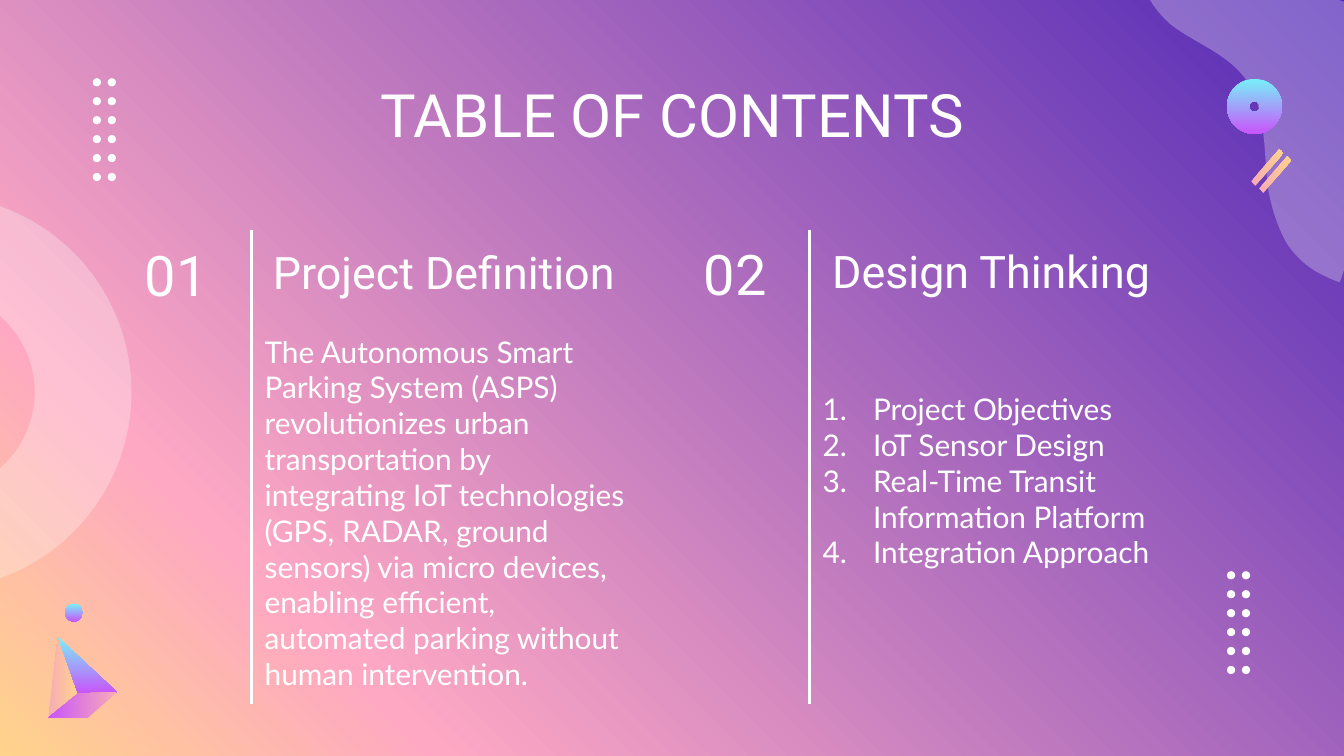
from dataclasses import dataclass
from itertools import product

from lxml.etree import SubElement
from pptx import Presentation
from pptx.dml.color import RGBColor
from pptx.enum.shapes import MSO_CONNECTOR as Connector, MSO_SHAPE as Preset
from pptx.enum.text import MSO_ANCHOR as Anchor, MSO_AUTO_SIZE as AutoSize, PP_ALIGN as Align
from pptx.oxml.ns import qn
from pptx.util import Pt

COLORS = {
    "white": "FFFFFF", "violet": "5229B7", "rose": "FEA8C3", "amber": "FFD38B",
    "cyan": "78F0F9", "magenta": "C954FA", "salmon": "F7ABB7",
}
NEON = ((0, "cyan"), (100, "magenta"))
PEACH = ((0, "salmon"), (100, "amber"))
ORCHID = ((0, "salmon"), (100, "magenta"))
BACKDROP = ((0, "violet"), (79, "rose"), (100, "amber"))
VEIL = 28
COMPARISON_LAYOUT = 4


@dataclass(frozen=True)
class Area:
    left: float
    top: float
    width: float
    height: float

    def lengths(self) -> tuple:
        return Pt(self.left), Pt(self.top), Pt(self.width), Pt(self.height)


@dataclass(frozen=True)
class Style:
    font: str
    size: int
    align: Align = Align.LEFT
    numbered: bool = False


@dataclass(frozen=True)
class Section:
    number: str
    number_area: Area
    heading: str
    heading_area: Area
    lines: tuple
    body_area: Area
    body_style: Style
    rule_x: float


@dataclass(frozen=True)
class Facet:
    points: tuple
    stops: tuple
    angle: int


TITLE = Style("Roboto", 32, Align.CENTER)
NUMBER = Style("Roboto", 30)
HEADING = Style("Roboto", 24)
BODY = Style("Lato", 16)
LIST = Style("Lato", 16, numbered=True)

SECTIONS = (
    Section(
        "01", Area(70.6, 126, 64, 41.8),
        "Project Definition", Area(139, 124, 204.5, 43.2),
        ("The Autonomous Smart Parking System (ASPS) revolutionizes urban "
         "transportation by integrating IoT technologies (GPS, RADAR, ground "
         "sensors) via micro devices, enabling efficient, automated parking "
         "without human intervention.",),
        Area(134.6, 255.4, 208.2, 38.2), BODY, 134.6),
    Section(
        "02", Area(370, 125.2, 64, 41.8),
        "Design Thinking", Area(438.6, 123.2, 211, 43.2),
        ("Project Objectives", "IoT Sensor Design",
         "Real-Time Transit Information Platform", "Integration Approach"),
        Area(433.5, 238.2, 216, 38.2), LIST, 433.5),
)

BLOB_START = (609.1, -37.4)
BLOB_CURVES = (
    ((605.5, -19.4), (612.7, 0.7), (627.1, 13)),
    ((640.8, 23.8), (658.8, 28.8), (668.9, 44.6)),
    ((679, 61.9), (676.8, 83.5), (679.7, 103)),
    ((681.8, 113), (684.7, 122.4), (689.8, 131)),
    ((694.8, 138.2), (701.3, 144), (709.2, 147.6)),
    ((712.1, 149), (715, 150.5), (717.8, 151.2)),
)
BLOB_CORNER = (765.4, 16.6)

APEX, FOLD, TIP, TAIL = (31, 341.3), (41.8, 371.5), (62.6, 370.8), (25.9, 384.5)
STRIPE = ((670.3, 97.2), (685.4, 79.9), (687.6, 82.1), (672.5, 99.4))
FACETS = (
    Facet((TAIL, FOLD, APEX), PEACH, 0),
    Facet((APEX, FOLD, TIP), NEON, 90),
    Facet((TIP, FOLD, TAIL, (46.8, 384.5)), ORCHID, 180),
    Facet(STRIPE, PEACH, 0),
    Facet(tuple((x + 4.3, y + 3.8) for x, y in STRIPE), PEACH, 0),
)


def rgb(name: str) -> RGBColor:
    return RGBColor.from_string(COLORS[name])


def paint_gradient(fill, host, stops: tuple, angle: int) -> None:
    fill.gradient()
    fill.gradient_angle = 360 - angle
    stop_list = host.find(".//" + qn("a:gsLst"))
    for stop in list(stop_list):
        stop_list.remove(stop)
    for position, name in stops:
        stop = SubElement(stop_list, qn("a:gs"), pos=str(position * 1000))
        SubElement(stop, qn("a:srgbClr"), val=COLORS[name])


def finish(shape, stops: tuple = (), angle: int = 0, opacity: int = 100) -> None:
    shape.shadow.inherit = False
    shape.line.fill.background()
    if stops:
        paint_gradient(shape.fill, shape._element.spPr, stops, angle)
        return
    shape.fill.solid()
    shape.fill.fore_color.rgb = rgb("white")
    if opacity < 100:
        color = shape._element.spPr.find(".//" + qn("a:srgbClr"))
        SubElement(color, qn("a:alpha"), val=str(opacity * 1000))


def add_polygon(shapes, points: tuple):
    corners = [(Pt(x), Pt(y)) for x, y in points]
    builder = shapes.build_freeform(*corners[0], scale=1.0)
    builder.add_line_segments(corners[1:], close=True)
    return builder.convert_to_shape()


def trace_curves(start: tuple, curves: tuple, steps: int = 12) -> list:
    points = [start]
    for first, second, end in curves:
        origin = points[-1]
        for step in range(1, steps + 1):
            t = step / steps
            u = 1 - t
            points.append(tuple(
                u**3 * a + 3 * u * u * t * b + 3 * u * t * t * c + t**3 * d
                for a, b, c, d in zip(origin, first, second, end)))
    return points


def add_ring(shapes, area: Area, thickness: float):
    ring = shapes.add_shape(Preset.DONUT, *area.lengths())
    ring.adjustments[0] = thickness
    return ring


def add_dots(shapes, left: float, top: float) -> None:
    group = shapes.add_group_shape()
    for column, row in product(range(2), range(6)):
        area = Area(left + 8 * column, top + 10.15 * row, 4.4, 4.4)
        finish(group.shapes.add_shape(Preset.OVAL, *area.lengths()))


def write_text(box, area: Area, lines: tuple, style: Style) -> None:
    box.left, box.top, box.width, box.height = area.lengths()
    frame = box.text_frame
    frame.word_wrap = True
    frame.auto_size = AutoSize.NONE
    frame.vertical_anchor = Anchor.MIDDLE
    frame.margin_left = frame.margin_right = Pt(7.2)
    frame.margin_top = frame.margin_bottom = Pt(7.2)
    for index, line in enumerate(lines):
        para = frame.add_paragraph() if index else frame.paragraphs[0]
        para.alignment = style.align
        para.space_before = Pt(0)
        properties = para._p.get_or_add_pPr()
        indent = Pt(27) if style.numbered else 0
        properties.set("marL", str(indent))
        properties.set("indent", str(-indent))
        if style.numbered:
            SubElement(properties, qn("a:buFont"), typeface=style.font)
            SubElement(properties, qn("a:buAutoNum"), type="arabicPeriod")
        else:
            SubElement(properties, qn("a:buNone"))
        span = para.add_run()
        span.text = line
        span.font.name = style.font
        span.font.size = Pt(style.size)
        span.font.bold = False
        span.font.color.rgb = rgb("white")


def add_rule(shapes, x: float) -> None:
    rule = shapes.add_connector(Connector.STRAIGHT, Pt(x), Pt(123), Pt(x), Pt(377.3))
    rule.line.color.rgb = rgb("white")
    rule.line.width = Pt(1.5)
    SubElement(rule._element.spPr, qn("a:effectLst"))


def main() -> None:
    deck = Presentation()
    deck.slide_width, deck.slide_height = Pt(720), Pt(405)
    page = deck.slides.add_slide(deck.slide_layouts[COMPARISON_LAYOUT])
    shapes = page.shapes
    paint_gradient(page.background.fill, page._element, BACKDROP, 135)

    finish(add_ring(shapes, Area(-141, 104.4, 211.4, 211.4), 0.245), opacity=VEIL)
    blob = trace_curves(BLOB_START, BLOB_CURVES) + [BLOB_CORNER]
    finish(add_polygon(shapes, blob), opacity=VEIL)

    write_text(shapes.title, Area(56.7, 41.8, 607, 38.2), ("TABLE OF CONTENTS",), TITLE)
    holders = list(page.placeholders)[1:]
    for section, heading, body in zip(SECTIONS, holders[::2], holders[1::2]):
        write_text(heading, section.heading_area, (section.heading,), HEADING)
        write_text(body, section.body_area, section.lines, section.body_style)
        number = shapes.add_textbox(*section.number_area.lengths())
        write_text(number, section.number_area, (section.number,), NUMBER)
        add_rule(shapes, section.rule_x)

    add_dots(shapes, 657.3, 306)
    add_dots(shapes, 49.7, 41.9)
    for facet in FACETS:
        finish(add_polygon(shapes, facet.points), facet.stops, facet.angle)
    finish(add_ring(shapes, Area(657.3, 42.3, 29.5, 29.5), 0.4), NEON, 90)
    ball = shapes.add_shape(Preset.OVAL, *Area(34.8, 323.4, 9.7, 9.7).lengths())
    finish(ball, NEON, 90)

    deck.save("out.pptx")


if __name__ == "__main__":
    main()
